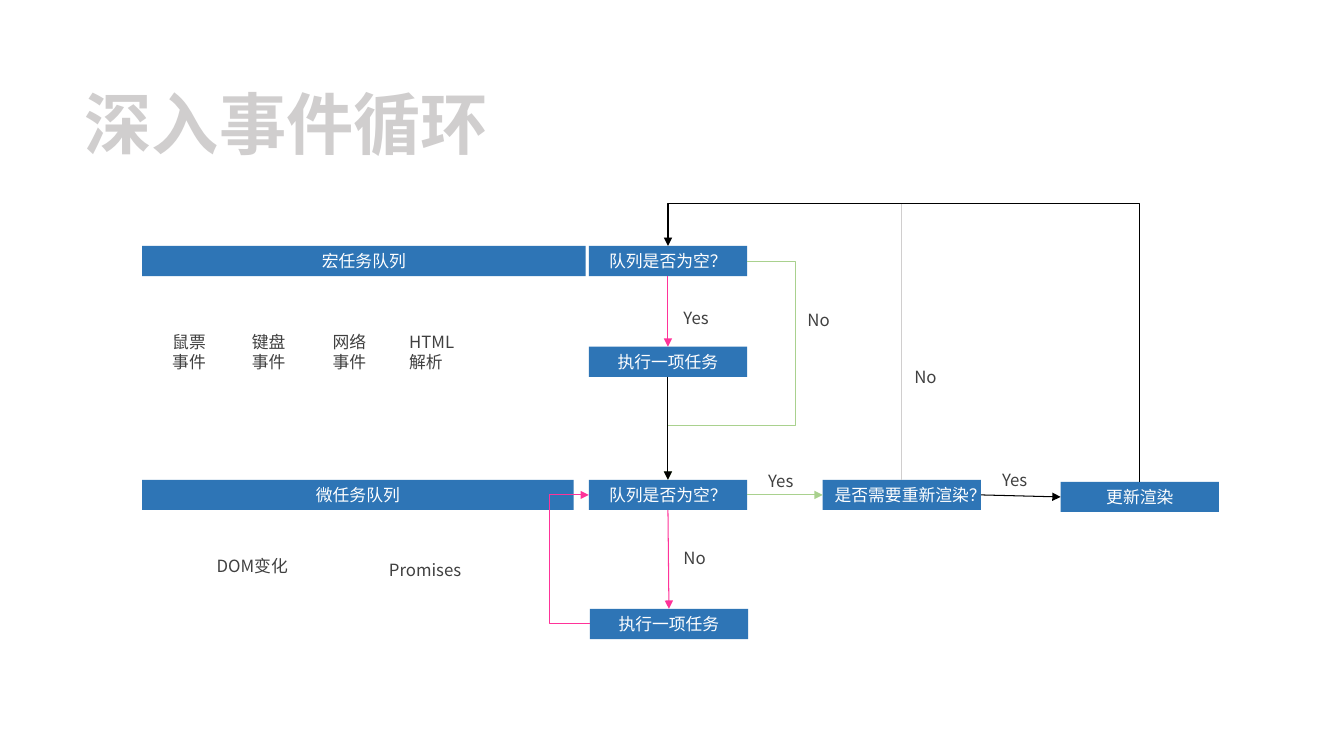
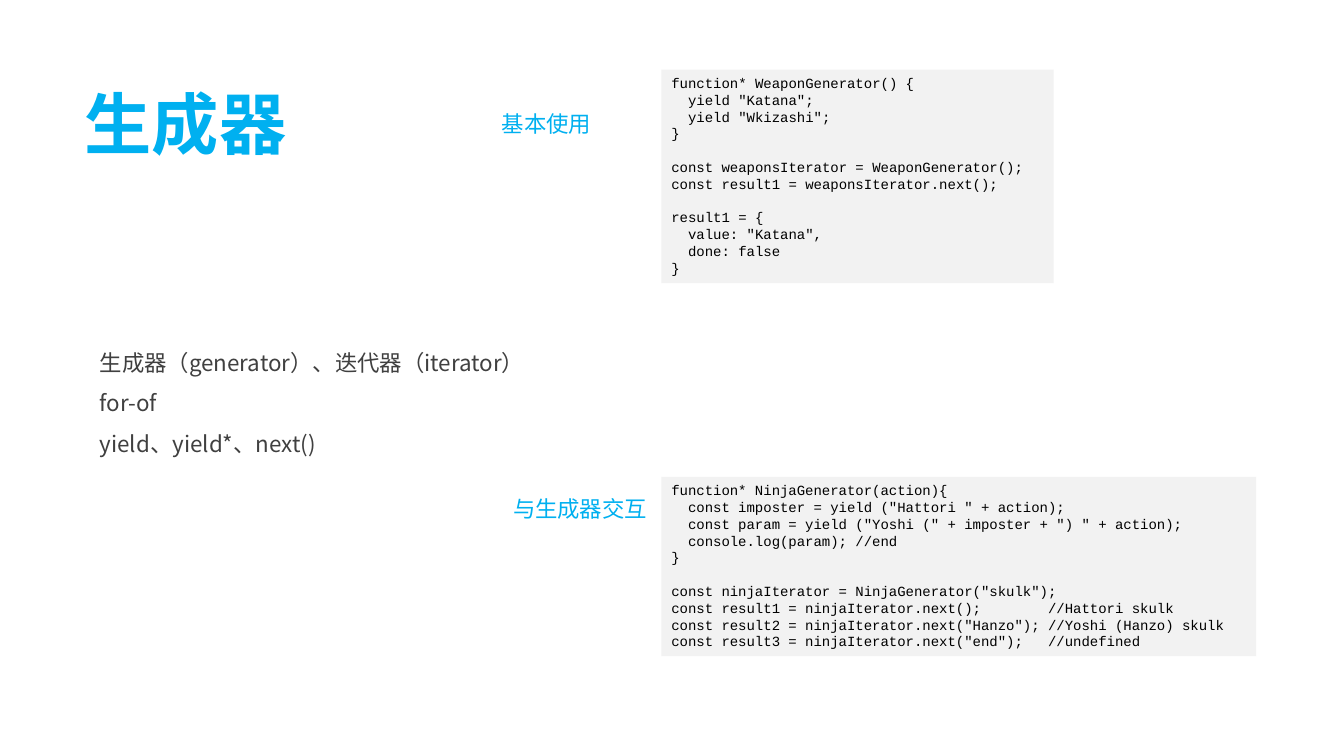
"""Build two slides on the event loop and on generators."""
from dataclasses import dataclass, field
from typing import Optional

from lxml.etree import SubElement
from pptx import Presentation
from pptx.dml.color import RGBColor
from pptx.enum.shapes import MSO_CONNECTOR, MSO_SHAPE
from pptx.enum.text import MSO_ANCHOR, MSO_AUTO_SIZE, PP_ALIGN
from pptx.oxml.ns import qn
from pptx.util import Inches, Pt

BLUE, CYAN, GREY, PALE = "2E75B6", "00B0F0", "D0CECE", "F2F2F2"
DARK, BLACK, WHITE, PINK, GREEN = "404040", "000000", "FFFFFF", "FF3399", "A9D18E"
CJK, TITLE_FONT, MONO = "Noto Sans CJK SC", "Open Sans", "Courier New"
TOP, LEFT, BOTTOM, RIGHT = range(4)
BAR_H = 0.3


@dataclass(frozen=True)
class Style:
    """Text format: font values, colour, line pitch and alignment."""
    font: dict
    color: str
    pitch: float
    align: PP_ALIGN = PP_ALIGN.LEFT


@dataclass(frozen=True)
class Box:
    """A text at a place, in inches."""
    text: str
    left: float
    top: float
    width: float
    height: float = BAR_H


@dataclass(frozen=True)
class Bend:
    """Geometry of an elbow connector."""
    adjust: tuple
    rotation: int = 0
    flips: tuple = field(default=())
    preset: str = "bentConnector3"


@dataclass(frozen=True)
class Link:
    """An arrow between the sites of two nodes."""
    start: str
    start_site: int
    end: str
    end_site: int
    color: str
    bend: Optional[Bend] = None


SMALL = {"name": CJK, "size": Pt(12)}
MEDIUM = {"name": CJK, "size": Pt(16)}
BAR = Style(SMALL, WHITE, 14.4, PP_ALIGN.CENTER)
LABEL = Style(SMALL, DARK, 14.4)
BODY = Style(MEDIUM, DARK, 28.8)
HEADING = Style(MEDIUM, CYAN, 28.8)
CODE = Style({"name": MONO, "size": Pt(10)}, BLACK, 12)


def rgb(color: str) -> RGBColor:
    """Turn a hex string into a colour."""
    return RGBColor.from_string(color)


def place(sp, box: Box) -> None:
    """Move a shape to the place of a box."""
    for name in ("left", "top", "width", "height"):
        setattr(sp, name, Inches(getattr(box, name)))


def write(sp, text: str, style: Style, anchor=MSO_ANCHOR.TOP) -> None:
    """Write lines as paragraphs; an empty line becomes space before the next."""
    tf = sp.text_frame
    frame = {"word_wrap": True, "auto_size": MSO_AUTO_SIZE.NONE, "vertical_anchor": anchor}
    for name, value in frame.items():
        setattr(tf, name, value)
    gap, p = 0, None
    for line in text.split("\n"):
        if not line:
            gap += style.pitch
            continue
        p = tf.add_paragraph() if p is not None else tf.paragraphs[0]
        layout = {"alignment": style.align, "line_spacing": Pt(style.pitch),
                  "space_before": Pt(gap), "space_after": Pt(0)}
        for name, value in layout.items():
            setattr(p, name, value)
        r = p.add_run()
        r.text = line
        for name, value in style.font.items():
            setattr(r.font, name, value)
        r.font.color.rgb = rgb(style.color)
        SubElement(r.font._element, qn("a:ea"), typeface=style.font["name"])
        gap = 0


def add_text(s, box: Box, style: Style) -> None:
    """Add a text box."""
    sp = s.shapes.add_textbox(0, 0, 0, 0)
    place(sp, box)
    write(sp, box.text, style)


def add_panel(s, box: Box, fill: str, style: Style, anchor=MSO_ANCHOR.TOP):
    """Add a filled rectangle with text."""
    sp = s.shapes.add_shape(MSO_SHAPE.RECTANGLE, 0, 0, 0, 0)
    place(sp, box)
    sp.shadow.inherit = False
    sp.fill.solid()
    sp.fill.fore_color.rgb = rgb(fill)
    sp.line.fill.background()
    write(sp, box.text, style, anchor)
    return sp


def shape_bend(connector, bend: Bend) -> None:
    """Give an elbow its turn, flips and adjust values."""
    left, top = connector.left, connector.top
    width, height = connector.width, connector.height
    if bend.rotation in (90, 270):
        left, top = left + (width - height) // 2, top + (height - width) // 2
        width, height = height, width
    frame = {"left": left, "top": top, "width": width, "height": height}
    for name, value in frame.items():
        setattr(connector, name, value)
    xfrm = connector._element.spPr.find(qn("a:xfrm"))
    for name in ("flipH", "flipV"):
        xfrm.set(name, "1" if name in bend.flips else "0")
    xfrm.set("rot", str(bend.rotation * 60000))
    geometry = connector._element.spPr.find(qn("a:prstGeom"))
    geometry.set("prst", bend.preset)
    guides = geometry.find(qn("a:avLst"))
    for number, value in enumerate(bend.adjust, 1):
        SubElement(guides, qn("a:gd"), name=f"adj{number}", fmla=f"val {round(value * 100000)}")


def add_link(s, nodes: dict, link: Link) -> None:
    """Add an arrow glued to two nodes."""
    kind = MSO_CONNECTOR.ELBOW if link.bend else MSO_CONNECTOR.STRAIGHT
    connector = s.shapes.add_connector(kind, 0, 0, 0, 0)
    connector.begin_connect(nodes[link.start], link.start_site)
    connector.end_connect(nodes[link.end], link.end_site)
    if link.bend:
        shape_bend(connector, link.bend)
    connector.line.color.rgb = rgb(link.color)
    connector.line.width = Pt(0.75)
    SubElement(connector.line._get_or_add_ln(), qn("a:tailEnd"), type="triangle")
    SubElement(connector._element.spPr, qn("a:effectLst"))


def add_slide(prs, layout: int, title: str, color: str, width: float):
    """Add a slide with the shared title style."""
    s = prs.slides.add_slide(prs.slide_layouts[layout])
    place(s.shapes.title, Box(title, 0.74, 0.69, width, 0.91))
    font = {"name": TITLE_FONT, "size": Pt(48), "bold": True}
    write(s.shapes.title, title, Style(font, color, 63))
    return s


def build_event_loop(prs) -> None:
    """Build the event loop flow chart."""
    s = add_slide(prs, 5, "深入事件循环", GREY, 4.24)
    macro_y, micro_y, step_x, step_w = 2.44, 4.76, 5.84, 1.57
    boxes = {
        "macro queue": Box("宏任务队列", 1.41, macro_y, 4.4),
        "micro queue": Box("微任务队列", 1.41, micro_y, 4.28),
        "macro empty": Box("队列是否为空？", step_x, macro_y, step_w),
        "macro run": Box("执行一项任务", step_x, 3.44, step_w),
        "micro empty": Box("队列是否为空？", step_x, micro_y, step_w),
        "micro run": Box("执行一项任务", step_x + 0.01, 6.04, step_w),
        "need render": Box("是否需要重新渲染？", 8.16, micro_y, step_w),
        "render": Box("更新渲染", 10.52, 4.78, step_w),
    }
    nodes = {name: add_panel(s, box, BLUE, BAR, MSO_ANCHOR.MIDDLE)
             for name, box in boxes.items()}
    over_top = Bend((1.18,), 270, ("flipV",))
    around = Bend((-0.61, 0.75), 0, ("flipH",), "bentConnector4")
    links = [
        Link("macro empty", BOTTOM, "macro run", TOP, PINK),
        Link("micro empty", BOTTOM, "micro run", TOP, PINK),
        Link("micro empty", RIGHT, "need render", LEFT, GREEN),
        Link("need render", RIGHT, "render", LEFT, BLACK),
        Link("micro run", LEFT, "micro empty", LEFT, PINK, Bend((41,), 180)),
        Link("need render", TOP, "macro empty", TOP, GREY, over_top),
        Link("macro empty", RIGHT, "micro empty", TOP, GREEN, around),
        Link("macro run", BOTTOM, "micro empty", TOP, BLACK),
        Link("render", TOP, "macro empty", TOP, BLACK, over_top),
    ]
    for link in links:
        add_link(s, nodes, link)
    labels = [
        Box("鼠票\n事件", 1.61, 3.24, 0.55, 0.5),
        Box("键盘\n事件", 2.4, 3.24, 0.55, 0.5),
        Box("网络\n事件", 3.2, 3.24, 0.55, 0.5),
        Box("HTML\n解析", 3.96, 3.24, 0.7, 0.5),
        Box("DOM变化", 2.05, 5.46, 1),
        Box("Promises", 3.76, 5.5, 1),
    ]
    answers = {"Yes": [(6.68, 3), (7.52, 4.62), (9.84, 4.61)],
               "No": [(6.68, 5.38), (7.91, 3.02), (8.97, 3.59)]}
    labels += [Box(text, left, top, 0.5)
               for text, spots in answers.items() for left, top in spots]
    for label in labels:
        add_text(s, label, LABEL)


BASIC_CODE = """function* WeaponGenerator() {
  yield "Katana";
  yield "Wkizashi";
}

const weaponsIterator = WeaponGenerator();
const result1 = weaponsIterator.next();

result1 = {
  value: "Katana",
  done: false
}"""

INTERACTIVE_CODE = """function* NinjaGenerator(action){
  const imposter = yield ("Hattori " + action);
  const param = yield ("Yoshi (" + imposter + ") " + action);
  console.log(param); //end
}

const ninjaIterator = NinjaGenerator("skulk");
const result1 = ninjaIterator.next();        //Hattori skulk
const result2 = ninjaIterator.next("Hanzo"); //Yoshi (Hanzo) skulk
const result3 = ninjaIterator.next("end");   //undefined"""


def build_generators(prs) -> None:
    """Build the generator slide with its list and code."""
    s = add_slide(prs, 1, "生成器", CYAN, 2.3)
    body = s.placeholders[1]
    topics = Box("生成器（generator）、迭代器（iterator）\nfor-of\nyield、yield*、next()",
                 0.89, 3.28, 5.33, 1.28)
    place(body, topics)
    write(body, topics.text, BODY)
    for p in body.text_frame.paragraphs:
        pPr = p._p.get_or_add_pPr()
        for name in ("marL", "indent"):
            pPr.set(name, "0")
        SubElement(pPr, qn("a:buNone"))
    for code in (Box(BASIC_CODE, 6.56, 0.69, 3.89, 2.12),
                 Box(INTERACTIVE_CODE, 6.56, 4.73, 5.9, 1.78)):
        add_panel(s, code, PALE, CODE)
    for heading in (Box("基本使用", 4.88, 0.91, 1.67, 0.47),
                    Box("与生成器交互", 4.99, 4.73, 1.67, 0.47)):
        add_text(s, heading, HEADING)


def main() -> None:
    """Build and save the presentation."""
    prs = Presentation()
    prs.slide_width, prs.slide_height = Inches(13.33), Inches(7.5)
    build_event_loop(prs)
    build_generators(prs)
    prs.save("out.pptx")


main()
